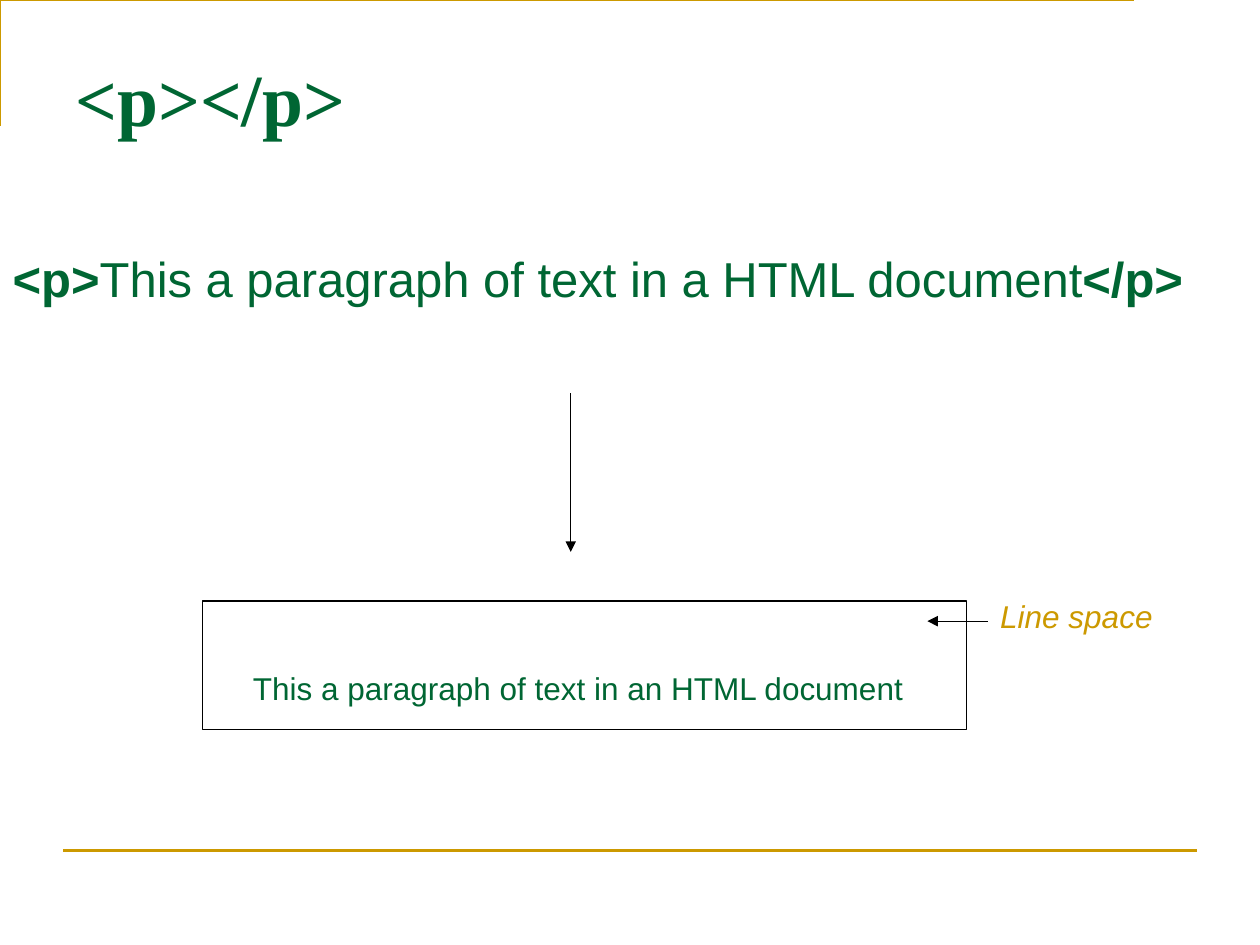
"""Build a slide that explains the HTML paragraph tag."""
from lxml import etree
from pptx import Presentation
from pptx.dml.color import RGBColor
from pptx.enum.shapes import MSO_CONNECTOR, MSO_SHAPE
from pptx.enum.text import MSO_ANCHOR, MSO_AUTO_SIZE, PP_ALIGN
from pptx.oxml.ns import qn
from pptx.util import Inches, Pt

STRAIGHT, RECTANGLE = MSO_CONNECTOR.STRAIGHT, MSO_SHAPE.RECTANGLE
TOP, LEFT, NO_FIT = MSO_ANCHOR.TOP, PP_ALIGN.LEFT, MSO_AUTO_SIZE.NONE
GREEN = RGBColor(0x00, 0x66, 0x33)
GOLD = RGBColor(0xCC, 0x99, 0x00)
BLACK = RGBColor(0x00, 0x00, 0x00)

WIDTH, HEIGHT = 10, 7.5
TITLE = [("<p></p>", {"bold": True})]
MARKUP = [
    ("<p>", {"bold": True}),
    ("This a paragraph of text in a HTML document", {"bold": False}),
    ("</p>", {"bold": True}),
]
RESULT = [("This a paragraph of text in an HTML document", {})]
LABEL = [("Line space", {"italic": True})]
CORNER = [(0.42, 0.92), (0.42, 0.25), (9.42, 0.25)]
RESULT_FRAME = (1.61, 4.77, 6.06, 1.02)
LINES = [
    ((0.5, 6.75), (9.5, 6.75), GOLD, 1.5, False),
    ((4.53, 3.12), (4.53, 4.38), BLACK, 0.75, True),
    ((7.84, 4.93), (7.36, 4.93), BLACK, 0.75, True),
]


def style_line(shape, color, weight):
    shape.line.color.rgb = color
    shape.line.width = Pt(weight)


def write(box, place, spans, font, size, color, top_inset=0.05):
    box.left, box.top, box.width, box.height = map(Inches, place)
    frame = box.text_frame
    settings = {"word_wrap": True, "auto_size": NO_FIT, "vertical_anchor": TOP,
                "margin_top": Inches(top_inset)}
    for name, value in settings.items():
        setattr(frame, name, value)
    para = frame.paragraphs[0]
    para.alignment = LEFT
    para.space_before = Pt(0)
    for text, extra in spans:
        span = para.add_run()
        span.text = text
        for name, value in {"name": font, "size": Pt(size), **extra}.items():
            setattr(span.font, name, value)
        span.font.color.rgb = color
    return para


def add_line(page, start, end, color, weight, arrow):
    line = page.shapes.add_connector(STRAIGHT, *map(Inches, start + end))
    style_line(line, color, weight)
    properties = line.element.spPr
    if arrow:
        etree.SubElement(properties.find(qn("a:ln")), qn("a:tailEnd"), type="triangle")
    etree.SubElement(properties, qn("a:effectLst"))


def main():
    deck = Presentation()
    deck.slide_width, deck.slide_height = Inches(WIDTH), Inches(HEIGHT)
    page = deck.slides.add_slide(deck.slide_layouts[1])
    shapes = page.shapes

    builder = shapes.build_freeform(*CORNER[0], scale=Inches(1))
    builder.add_line_segments(CORNER[1:], close=False)
    corner = builder.convert_to_shape()
    frame = shapes.add_shape(RECTANGLE, *map(Inches, RESULT_FRAME))
    for shape, color, weight in [(corner, GOLD, 1.5), (frame, BLACK, 0.75)]:
        shape.fill.background()
        shape.shadow.inherit = False
        style_line(shape, color, weight)
    for line in LINES:
        add_line(page, *line)

    write(shapes.title, (0.5, 0.3, 9, 1.25), TITLE, "Times New Roman", 42, GREEN, 0.12)
    para = write(page.placeholders[1], (0, 1.31, WIDTH, 4.95), MARKUP, "Arial", 28, GREEN, 0.66)
    properties = para._p.get_or_add_pPr()
    properties.set("marL", "0")
    properties.set("indent", "0")
    etree.SubElement(properties, qn("a:buNone"))
    for place, spans, color, inset in [
        ((1.91, 4.95, 5.53, 0.7), RESULT, GREEN, 0.36),
        ((7.84, 4.69, 1.5, 0.4), LABEL, GOLD, 0.05),
    ]:
        write(shapes.add_textbox(0, 0, 0, 0), place, spans, "Arial", 18, color, inset)
    deck.save("out.pptx")


if __name__ == "__main__":
    main()
